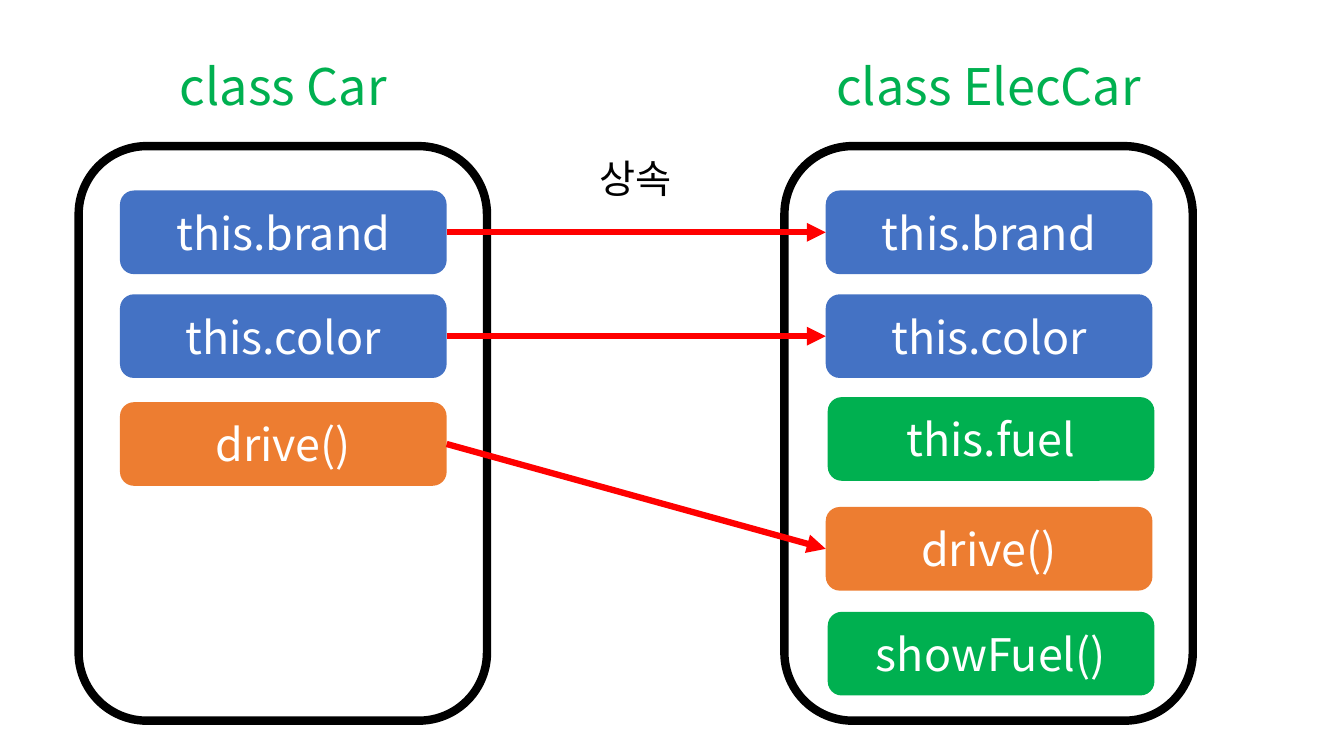
"""Build a slide showing how class ElecCar inherits members from class Car."""
from dataclasses import dataclass

from lxml import etree
from pptx import Presentation
from pptx import util as u
from pptx.dml.color import RGBColor
from pptx.enum import shapes, text
from pptx.oxml.ns import qn

PX = u.Inches(1) // 100
FONT = "Noto Sans CJK KR"
BLUE, ORANGE, GREEN = "4472C4", "ED7D31", "00B050"
RED, BLACK, WHITE = "FF0000", "000000", "FFFFFF"
LEFT_SITE, RIGHT_SITE = 1, 3
FRAME_TOP, FRAME_WIDTH, FRAME_HEIGHT = 145, 405, 570
MEMBER_INSET, MEMBER_WIDTH, MEMBER_HEIGHT = 41, 324, 83


@dataclass(frozen=True)
class Member:
    name: str
    top: int
    colour: str
    shift: int = 0


@dataclass(frozen=True)
class ClassPanel:
    heading: str
    left: int
    heading_left: int
    heading_width: int
    members: tuple[Member, ...]


CAR = ClassPanel("class Car", 78, 166, 230, (
    Member("this.brand", 189, BLUE),
    Member("this.color", 292, BLUE),
    Member("drive()", 399, ORANGE),
))
ELEC_CAR = ClassPanel("class ElecCar", 778, 817, 327, (
    Member("this.brand", 189, BLUE),
    Member("this.color", 292, BLUE),
    Member("this.fuel", 394, GREEN, shift=2),
    Member("drive()", 503, ORANGE),
    Member("showFuel()", 607, GREEN, shift=2),
))


def px(*lengths: int) -> list[u.Emu]:
    return [u.Emu(length * PX) for length in lengths]


def rgb(colour: str) -> RGBColor:
    return RGBColor.from_string(colour)


def write(shape, content: str, *, size: int, colour: str,
          align=text.PP_ALIGN.CENTER) -> None:
    paragraph = shape.text_frame.paragraphs[0]
    paragraph.alignment = align
    run = paragraph.add_run()
    run.text = content
    run.font.size = u.Pt(size)
    run.font.color.rgb = rgb(colour)
    run.font.name = FONT
    properties = run.font.fill._xPr
    etree.SubElement(properties, qn("a:ea")).set("typeface", FONT)


def add_label(slide, content: str, box: tuple[int, ...], **text_format) -> None:
    label = slide.shapes.add_textbox(*px(*box))
    label.text_frame.word_wrap = False
    label.text_frame.auto_size = text.MSO_AUTO_SIZE.SHAPE_TO_FIT_TEXT
    write(label, content, **text_format)


def add_rounded(slide, box: tuple[int, ...]):
    shape = slide.shapes.add_shape(shapes.MSO_SHAPE.ROUNDED_RECTANGLE, *px(*box))
    shape.shadow.inherit = False
    return shape


def add_member(slide, member: Member, panel_left: int):
    left = panel_left + MEMBER_INSET + member.shift
    shape = add_rounded(slide, (left, member.top, MEMBER_WIDTH, MEMBER_HEIGHT))
    shape.fill.solid()
    shape.fill.fore_color.rgb = rgb(member.colour)
    shape.line.fill.background()
    shape.text_frame.vertical_anchor = text.MSO_ANCHOR.MIDDLE
    write(shape, member.name, size=32, colour=WHITE)
    return shape


def add_panel(slide, panel: ClassPanel) -> dict:
    frame = add_rounded(slide, (panel.left, FRAME_TOP, FRAME_WIDTH, FRAME_HEIGHT))
    frame.fill.background()
    frame.line.color.rgb = rgb(BLACK)
    frame.line.width = u.Pt(6)
    add_label(slide, panel.heading, (panel.heading_left, 50, panel.heading_width, 71),
              size=36, colour=GREEN)
    return {member.name: add_member(slide, member, panel.left)
            for member in panel.members}


def add_arrow(slide, source, target) -> None:
    arrow = slide.shapes.add_connector(shapes.MSO_CONNECTOR.STRAIGHT, 0, 0, 0, 0)
    arrow.begin_connect(source, RIGHT_SITE)
    arrow.end_connect(target, LEFT_SITE)
    arrow.line.color.rgb = rgb(RED)
    arrow.line.width = u.Pt(4.5)
    line = arrow.line._get_or_add_ln()
    etree.SubElement(line, qn("a:tailEnd")).set("type", "triangle")
    etree.SubElement(line.getparent(), qn("a:effectLst"))


def main() -> None:
    presentation = Presentation()
    presentation.slide_width, presentation.slide_height = px(1333, 750)
    slide = presentation.slides.add_slide(presentation.slide_layouts[6])
    car_members = add_panel(slide, CAR)
    elec_car_members = add_panel(slide, ELEC_CAR)
    for name, source in car_members.items():
        add_arrow(slide, source, elec_car_members[name])
    add_label(slide, "상속", (585, 148, 92, 57), size=28, colour=BLACK,
              align=text.PP_ALIGN.LEFT)
    presentation.save("out.pptx")


if __name__ == "__main__":
    main()
